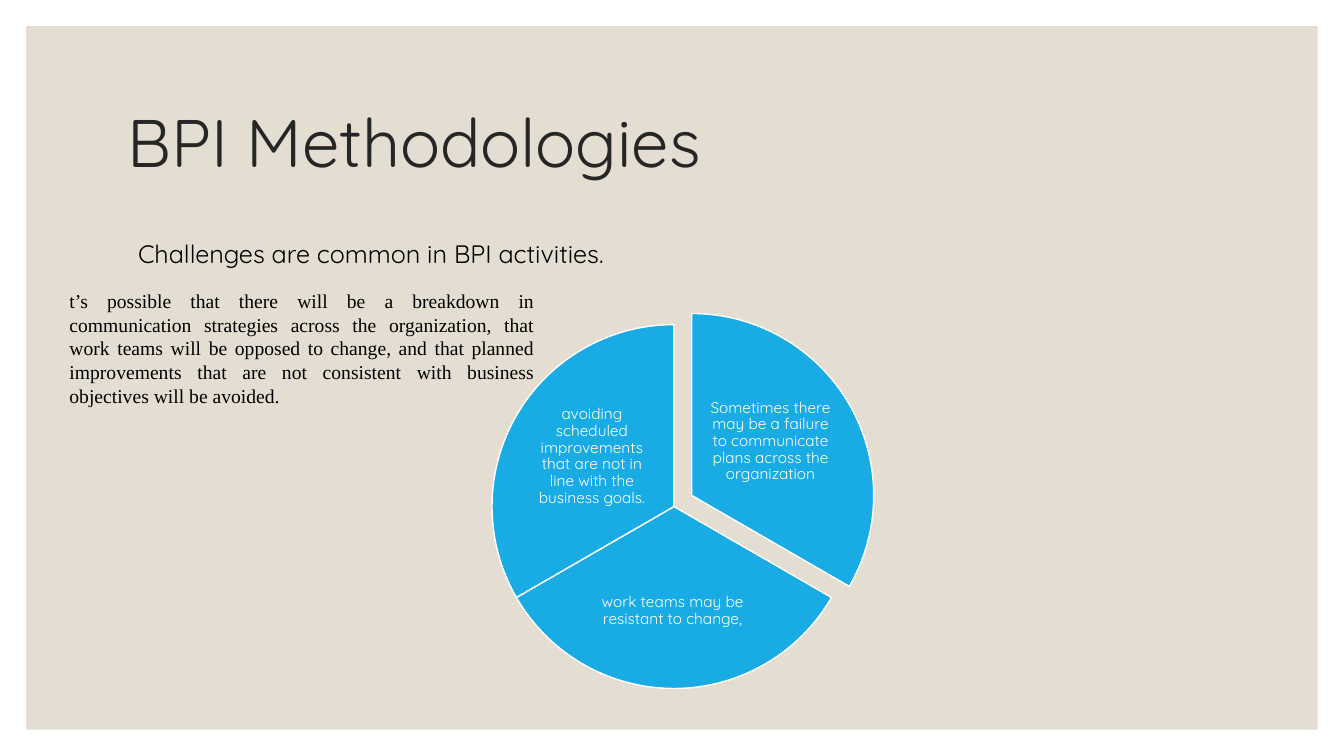
from pptx import Presentation
from pptx.dml.color import RGBColor
from pptx.enum.shapes import MSO_SHAPE as Shape
from pptx.enum.text import MSO_ANCHOR as Anchor, MSO_AUTO_SIZE as Fit, PP_ALIGN as Align
from pptx.util import Cm, Pt

WHITE = RGBColor(0xFF, 0xFF, 0xFF)
SAND = RGBColor(0xE3, 0xDE, 0xD1)
BLUE = RGBColor(0x19, 0xAC, 0xE4)
DARK = RGBColor(0x26, 0x26, 0x26)
BLACK = RGBColor(0, 0, 0)
SANS, SERIF = "Quicksand", "Times New Roman"

WIDE, HIGH = 33.87, 19.05
EDGE = 0.66

# Start and end angles in degrees, shift of the slice, label box within the pie, text
SLICES = [
    (270, 30, (0.45, -0.28), (5.01, 1.7, 3.12, 3.05),
     "Sometimes there may be a failure to communicate plans across the organization"),
    (30, 150, (0, 0), (2.48, 5.79, 4.14, 2.84),
     "work teams may be resistant to change,"),
    (150, 270, (0, 0), (0.96, 1.8, 3.12, 3.05),
     "avoiding scheduled improvements that are not in line with the business goals."),
]


def write(shape, text, size, color, font=SANS, align=Align.LEFT, space=1.0,
          anchor=Anchor.TOP, inset=(0.25, 0.13)):
    frame = shape.text_frame
    frame.word_wrap = True
    frame.auto_size = Fit.NONE
    frame.vertical_anchor = anchor
    frame.margin_left = frame.margin_right = Cm(inset[0])
    frame.margin_top = frame.margin_bottom = Cm(inset[1])
    para = frame.paragraphs[0]
    para.alignment = align
    para.line_spacing = space
    run = para.add_run()
    run.text = text
    run.font.size = Pt(size)
    run.font.name = font
    run.font.color.rgb = color


def add_text(slide, box, text, size, color, **style):
    label = slide.shapes.add_textbox(*map(Cm, box))
    write(label, text, size, color, **style)


def add_panel(slide, box):
    panel = slide.shapes.add_shape(Shape.RECTANGLE, *map(Cm, box))
    panel.shadow.inherit = False
    panel.fill.solid()
    panel.fill.fore_color.rgb = SAND
    panel.line.fill.background()
    # Behind the title
    tree = slide.shapes._spTree
    tree.remove(panel._element)
    tree.insert(2, panel._element)


def add_title(slide, box, text):
    title = slide.shapes.title
    title.left, title.top, title.width, title.height = map(Cm, box)
    write(title, text, 48, DARK, space=0.9, anchor=Anchor.MIDDLE)


def add_wheel(slide, box):
    left, top, width, height = box
    for start, end, (right, down), (dx, dy, wide, high), text in SLICES:
        x, y = left + right, top + down
        pie = slide.shapes.add_shape(Shape.PIE, Cm(x), Cm(y), Cm(width), Cm(height))
        pie.adjustments[0] = start * 0.6
        pie.adjustments[1] = end * 0.6
        pie.shadow.inherit = False
        pie.fill.solid()
        pie.fill.fore_color.rgb = BLUE
        pie.line.color.rgb = WHITE
        pie.line.width = Pt(1)
        add_text(slide, (x + dx, y + dy, wide, high), text, 11, WHITE,
                 align=Align.CENTER, space=0.9, anchor=Anchor.MIDDLE, inset=(0.04, 0.04))


def add_notes(slide, box):
    left, top, width, height = box
    # Lead line
    add_text(slide, (left + 1.73, top, 13.1, 1.02),
             "Challenges are common in BPI activities.", 18, BLACK)
    # Paragraph below it
    add_text(slide, (left, top + 1.29, width, height - 1.29),
             "t’s possible that there will be a breakdown in communication strategies "
             "across the organization, that work teams will be opposed to change, and "
             "that planned improvements that are not consistent with business objectives "
             "will be avoided.", 14, BLACK, font=SERIF, align=Align.JUSTIFY)


def main():
    deck = Presentation()
    deck.slide_width, deck.slide_height = Cm(WIDE), Cm(HIGH)
    slide = deck.slides.add_slide(deck.slide_layouts[5])
    add_panel(slide, (EDGE, EDGE, WIDE - 2 * EDGE, HIGH - 2 * EDGE))
    add_title(slide, (2.97, 1.78, 27.94, 3.81), "BPI Methodologies")
    add_wheel(slide, (12.4, 8.18, 9.17, 9.17))
    add_notes(slide, (1.5, 5.87, 12.22, 4.54))
    deck.save("out.pptx")


if __name__ == "__main__":
    main()
